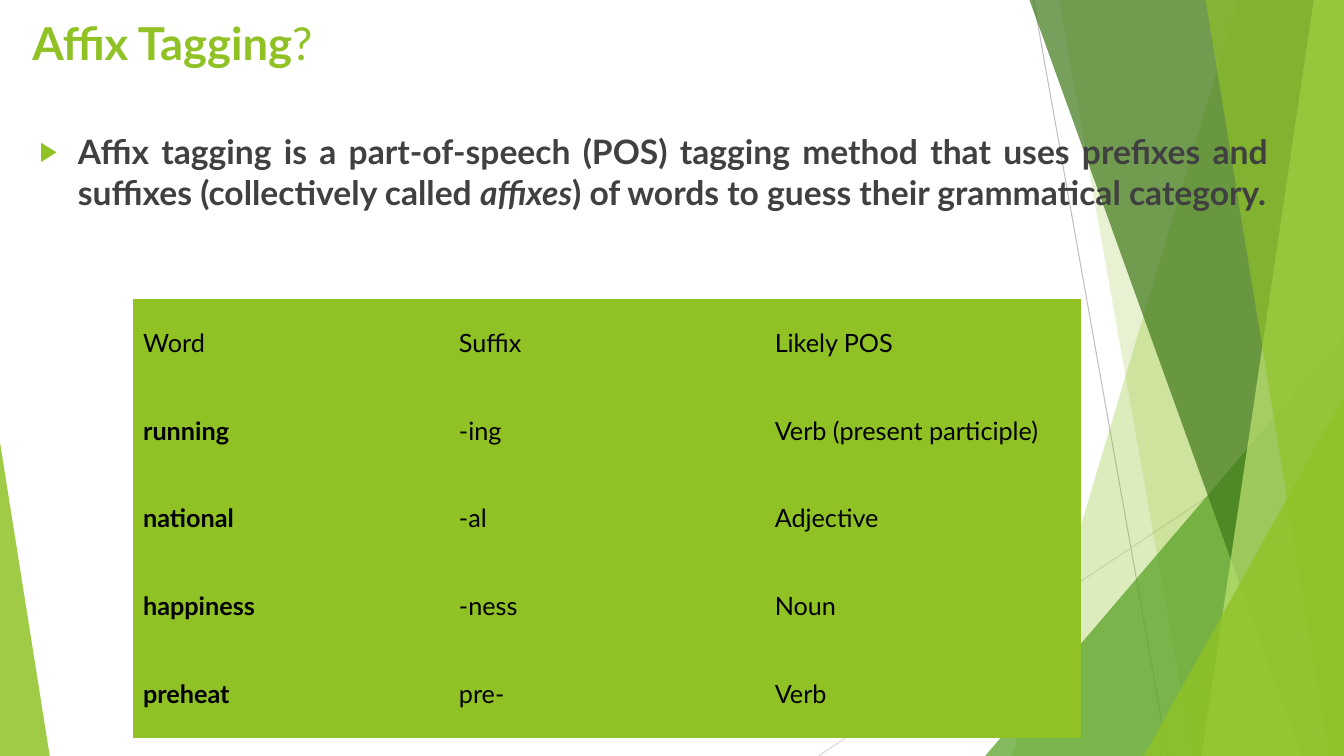
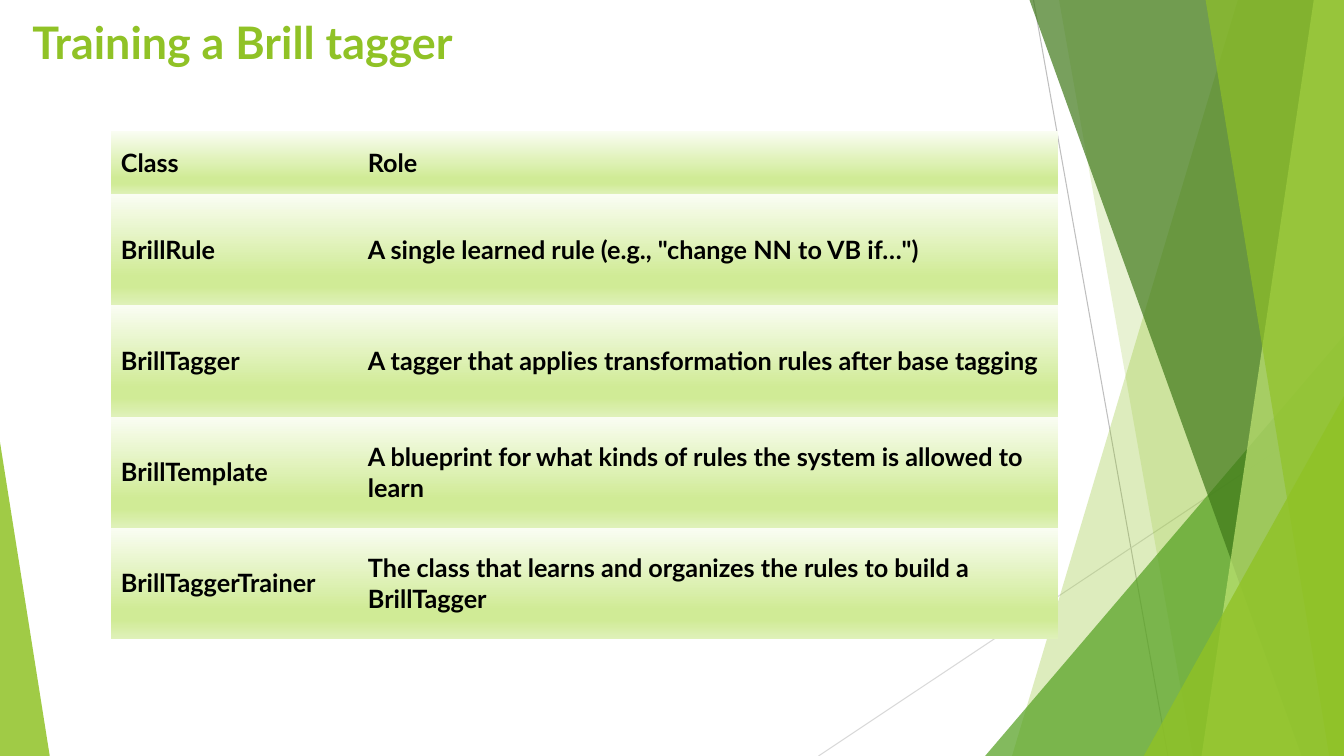
from copy import deepcopy

from lxml import etree
from pptx import Presentation, util as u
from pptx.dml import color
from pptx.enum import shapes, text
from pptx.oxml import ns

WIDTH, HEIGHT = u.Inches(13.33), u.Inches(7.5)
GREEN, LEAF, FOREST, LIME = "90C226", "54A021", "3F7819", "C0E474"
INK, BLACK = "404040", "000000"
FADE = [(0, "FAFDF3"), (0.74, "D0EB96"), (0.83, "D0EB96"), (1, "DFF1B9")]
TITLE_BOX = (1.65, 1.3, 70.5, 9.1)
NO_GRID_STYLE = "{2D5ABB26-0587-4C30-8999-92F81FD0307C}"

BEAMS = [(76.9, 0, 86.9, 100, "BFBFBF"), (100, 53.7, 60.9, 100, "D9D9D9")]
FACETS = [
    ("wedge", (92.1, 75.3), GREEN, 30),
    ("wedge", (78.8, 88.75), GREEN, 20),
    ("triangle", (73.3, 44.4, 26.7, 55.6, 1), LEAF, 72),
    ("wedge", (76.6, 96.85), FOREST, 70),
    ("wedge", (97.75, 89.4), LIME, 70),
    ("wedge", (89.7, 98.9), GREEN, 65),
    ("triangle", (85.1, 52.4, 14.9, 47.6, 1), GREEN, 80),
    ("triangle", (0, 58.5, 3.7, 41.5, 0), GREEN, 85),
]

AFFIXES = [
    ("Word", "Suffix", "Likely POS"),
    ("running", "-ing", "Verb (present participle)"),
    ("national", "-al", "Adjective"),
    ("happiness", "-ness", "Noun"),
    ("preheat", "pre-", "Verb"),
]
BRILL_CLASSES = [
    ("Class", "Role"),
    ("BrillRule", 'A single learned rule (e.g., "change NN to VB if…")'),
    ("BrillTagger", "A tagger that applies transformation rules after base tagging"),
    ("BrillTemplate", "A blueprint for what kinds of rules the system is allowed to learn"),
    ("BrillTaggerTrainer", "The class that learns and organizes the rules to build a BrillTagger"),
]


def rgb(value):
    """Turn a hex string into a colour."""
    return color.RGBColor.from_string(value)


def across(share):
    """Convert a percentage of the slide's width."""
    return u.Emu(round(WIDTH * share / 100))


def down(share):
    """Convert a percentage of the slide's height."""
    return u.Emu(round(HEIGHT * share / 100))


def area(x, y, w, h):
    """Convert a box of percentages to left, top, width and height."""
    return across(x), down(y), across(w), down(h)


def assign(target, **values):
    """Set each named attribute on the target."""
    for name, value in values.items():
        setattr(target, name, value)


def child(parent, tag, **attributes):
    """Append an XML element to its parent."""
    node = etree.SubElement(parent, ns.qn(tag))
    for name, value in attributes.items():
        node.set(name, str(value))
    return node


def write(paragraph, runs, size, ink):
    """Add runs given as pairs of wording and font values."""
    for wording, style in runs:
        run = paragraph.add_run()
        run.text = wording
        assign(run.font, name="Lato", size=u.Pt(size), **style)
        run.font.color.rgb = rgb(ink)


def wedge(canvas, top, bottom):
    """Outline a full-height facet that reaches the right edge."""
    outline = canvas.build_freeform(across(top), 0)
    outline.add_line_segments([(WIDTH, 0), (WIDTH, HEIGHT), (across(bottom), HEIGHT)])
    return outline.convert_to_shape()


def triangle(canvas, x, y, w, h, apex):
    """Add a triangle with its apex at a share of its width."""
    facet = canvas.add_shape(shapes.MSO_SHAPE.ISOSCELES_TRIANGLE, *area(x, y, w, h))
    facet.adjustments[0] = apex
    return facet


def decorate(master, slide):
    """Draw the beams and facets once and place them on the master."""
    group = slide.shapes.add_group_shape()
    canvas = group.shapes
    for x1, y1, x2, y2, ink in BEAMS:
        beam = canvas.add_connector(shapes.MSO_CONNECTOR.STRAIGHT,
                                    across(x1), down(y1), across(x2), down(y2))
        beam.line.color.rgb = rgb(ink)
        beam.line.width = u.Pt(0.75)
        child(beam.element.spPr, "a:effectLst")
    draw = {"wedge": wedge, "triangle": triangle}
    for kind, geometry, ink, opacity in FACETS:
        facet = draw[kind](canvas, *geometry)
        facet.shadow.inherit = False
        facet.line.fill.background()
        facet.fill.solid()
        facet.fill.fore_color.rgb = rgb(ink)
        tint = facet.element.spPr.find(".//" + ns.qn("a:srgbClr"))
        child(tint, "a:alpha", val=opacity * 1000)
    tree = master.shapes.element
    tree.insert(2, group.element)
    for number, node in enumerate(tree.iter(ns.qn("p:cNvPr")), 1):
        node.set("id", str(number))


def settle(placeholder, box, anchor):
    """Move a placeholder to its box and return its first paragraph."""
    left, top, width, height = area(*box)
    assign(placeholder, left=left, top=top, width=width, height=height)
    assign(placeholder.text_frame, word_wrap=True, vertical_anchor=anchor,
           auto_size=text.MSO_AUTO_SIZE.NONE)
    return placeholder.text_frame.paragraphs[0]


def heading(slide, runs, size=32):
    """Write the slide's title."""
    line = settle(slide.shapes.title, TITLE_BOX, text.MSO_ANCHOR.TOP)
    line.alignment = text.PP_ALIGN.LEFT
    write(line, runs, size, GREEN)


def definition(slide, box, runs):
    """Write the justified statement with its arrow bullet."""
    statement = settle(slide.placeholders[1], box, text.MSO_ANCHOR.TOP)
    assign(statement, alignment=text.PP_ALIGN.JUSTIFY, space_before=u.Pt(10))
    write(statement, runs, 24, INK)
    layout = statement._p.get_or_add_pPr()
    layout.set("marL", str(u.Inches(0.38)))
    layout.set("indent", str(-u.Inches(0.38)))
    child(child(layout, "a:buClr"), "a:srgbClr", val=GREEN)
    child(layout, "a:buSzPct", val=80000)
    child(layout, "a:buChar", char="▶")


def paint(cell, stops):
    """Fill a cell with one colour or a downward gradient."""
    if len(stops) == 1:
        cell.fill.solid()
        cell.fill.fore_color.rgb = rgb(stops[0][1])
        return
    cell.fill.gradient()
    cell.fill.gradient_angle = 270
    ramp = cell._tc.find(".//" + ns.qn("a:gsLst"))
    for _ in range(len(stops) - len(ramp)):
        ramp.append(deepcopy(ramp[0]))
    for stop, (position, ink) in zip(cell.fill.gradient_stops, stops):
        stop.position = position
        stop.color.rgb = rgb(ink)


def grid(slide, box, rows, columns, heights, stops, is_bold):
    """Add a table whose columns and rows share the box by weight."""
    left, top, width, height = area(*box)
    frame = slide.shapes.add_table(len(rows), len(columns), left, top, width, height)
    frame.element.find(".//" + ns.qn("a:tableStyleId")).text = NO_GRID_STYLE
    table = frame.table
    assign(table, first_row=False, horz_banding=False)
    for column, weight in zip(table.columns, columns):
        column.width = round(width * weight / sum(columns))
    for r, (entries, weight) in enumerate(zip(rows, heights)):
        table.rows[r].height = round(height * weight / sum(heights))
        for c, entry in enumerate(entries):
            cell = table.cell(r, c)
            cell.vertical_anchor = text.MSO_ANCHOR.MIDDLE
            write(cell.text_frame.paragraphs[0], [(entry, {"bold": is_bold(r, c)})], 18, BLACK)
            paint(cell, stops)


def affix_slide(slide):
    """Build the slide that defines affix tagging."""
    heading(slide, [("Affix Tagging", {"bold": True}), ("?", {"bold": False})], 32.4)
    definition(slide, (2.2, 16.7, 92.9, 78.8), [
        ("Affix tagging is a part-of-speech (POS) tagging method that uses prefixes and "
         "suffixes (collectively called ", {"bold": True}),
        ("affixes", {"bold": True, "italic": True}),
        (") of words to guess their grammatical category.", {"bold": True}),
    ])
    grid(slide, (9.9, 39.5, 70.5, 58.1), AFFIXES, [1] * 3, [1] * 5, [(0, GREEN)],
         lambda r, c: r > 0 and c == 0)


def brill_slide(slide):
    """Build the slide that lists the Brill tagger classes."""
    heading(slide, [("Training a Brill tagger", {"bold": True})])
    grid(slide, (8.25, 17.3, 70.5, 67.2), BRILL_CLASSES, [2.45, 6.95],
         [0.63] + [1.1] * 4, FADE, lambda r, c: True)


def main():
    """Build and save the presentation."""
    deck = Presentation()
    assign(deck, slide_width=WIDTH, slide_height=HEIGHT)
    affix = deck.slides.add_slide(deck.slide_layouts.get_by_name("Title and Content"))
    brill = deck.slides.add_slide(deck.slide_layouts.get_by_name("Title Only"))
    decorate(deck.slide_master, affix)
    affix_slide(affix)
    brill_slide(brill)
    deck.save("out.pptx")


if __name__ == "__main__":
    main()
